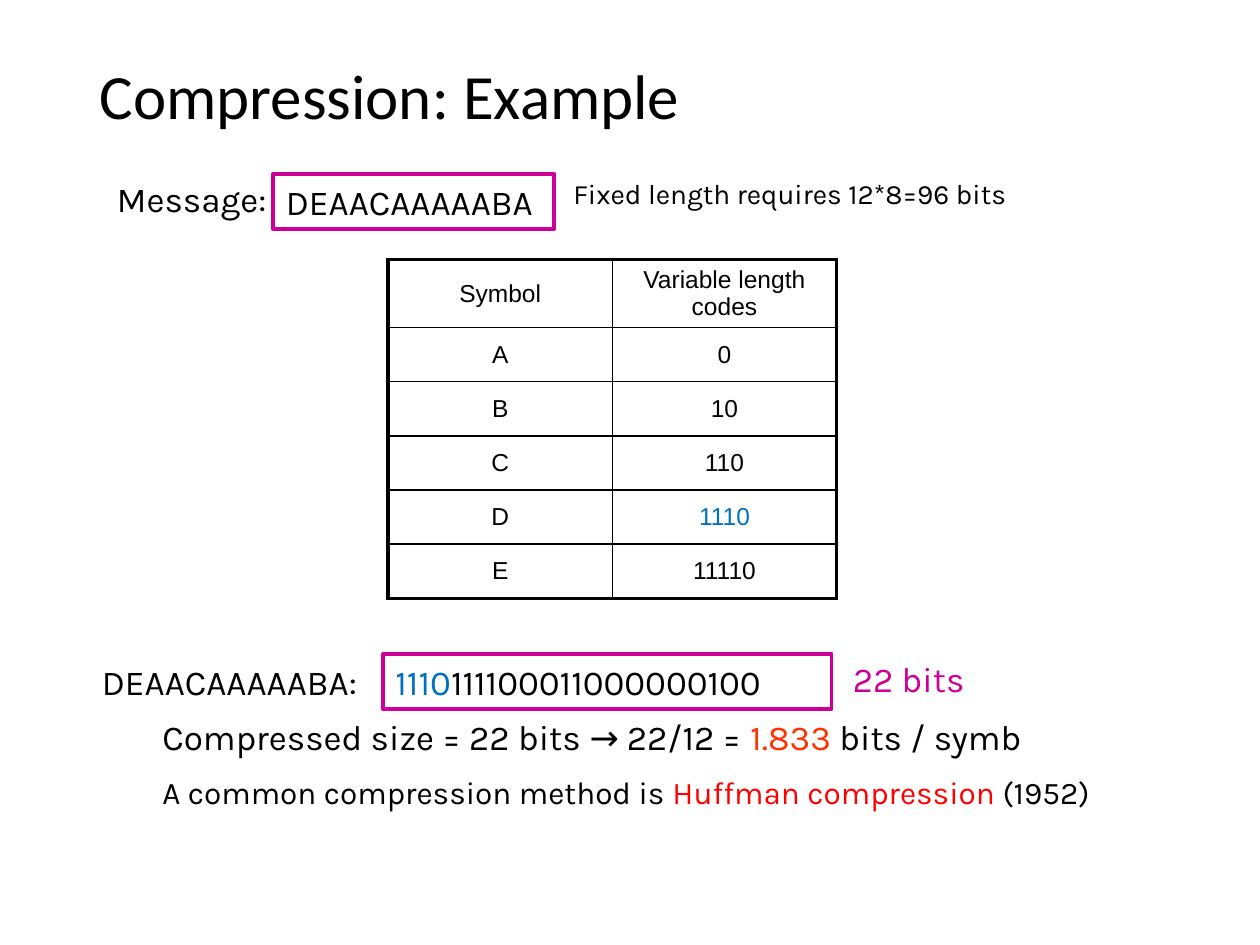
from pptx import Presentation
from pptx.dml.color import RGBColor
from pptx.enum.shapes import MSO_SHAPE as Shape
from pptx.enum.text import MSO_ANCHOR as Anchor, PP_ALIGN as Align
from pptx.oxml.ns import qn
from pptx.util import Inches, Pt
from lxml.etree import SubElement as Sub

BLACK, BLUE, PINK = "000000", "0070C0", "CC0099"


def style(run, size, face, color=BLACK):
    run.font.size = Pt(size)
    run.font.name = face
    run.font.color.rgb = RGBColor.from_string(color)


def write(para, parts, size):
    for text, color in parts:
        run = para.add_run()
        run.text = text
        style(run, size, "Karla", color)


prs = Presentation()
prs.slide_width, prs.slide_height = Inches(10), Inches(7.5)
slide = prs.slides.add_slide(prs.slide_layouts[5])

# Title
title = slide.shapes.title
title.left, title.top = Inches(0.69), Inches(0.4)
title.width, title.height = Inches(8.33), Inches(0.77)
title.text_frame.text = "Compression: Example"
title.text_frame.vertical_anchor = Anchor.MIDDLE
para = title.text_frame.paragraphs[0]
para.alignment = Align.LEFT
para.line_spacing = 0.9
style(para.runs[0], 36, "Calibri")

# Code table
rows = [("Symbol", "Variable length codes"), ("A", "0"), ("B", "10"),
        ("C", "110"), ("D", "1110"), ("E", "11110")]
table = slide.shapes.add_table(len(rows), 2, Inches(3.08), Inches(2.06),
                               Inches(3.56), Inches(2.7)).table
for r, row in enumerate(rows):
    table.rows[r].height = Inches(0.43 if r else 0.54)
    for c, text in enumerate(row):
        cell = table.cell(r, c)
        cell.text_frame.text = text
        cell.vertical_anchor = Anchor.MIDDLE
        para = cell.text_frame.paragraphs[0]
        para.alignment = Align.CENTER
        style(para.runs[0], 14, "Arial", BLUE if text == "1110" else BLACK)
        para.runs[0].font.bold = False
        outer = {"L": c == 0, "R": c == 1, "T": r == 0, "B": r == len(rows) - 1}
        props = cell._tc.get_or_add_tcPr()
        for side, thick in outer.items():
            line = Sub(props, qn(f"a:ln{side}"), w=str(Pt(2.25 if thick else 1)))
            Sub(Sub(line, qn("a:solidFill")), qn("a:srgbClr"), val=BLACK)
        cell.fill.background()

# Framed message and its code
frames = [
    (2.17, 1.38, 2.23, [("DEAACAAAAABA", BLACK)]),
    (3.04, 5.19, 3.56, [("1110", BLUE), ("111100011000000100", BLACK)]),
]
for x, y, w, parts in frames:
    box = slide.shapes.add_shape(Shape.RECTANGLE, Inches(x), Inches(y),
                                 Inches(w), Inches(0.44))
    box.shadow.inherit = False
    box.fill.background()
    box.line.color.rgb = RGBColor.from_string(PINK)
    box.line.width = Pt(2.25)
    box.text_frame.vertical_anchor = Anchor.TOP
    para = box.text_frame.paragraphs[0]
    para.alignment = Align.LEFT
    write(para, parts, 20)

# Labels
labels = [
    (6.67, 5.17, 1.18, 0.5, "22 bits", 20, PINK),
    (0.83, 1.36, 1.5, 0.44, "Message:", 20, BLACK),
    (0.71, 5.19, 2.33, 0.44, "DEAACAAAAABA:", 20, BLACK),
    (4.4, 1.35, 3.86, 0.37, " Fixed length requires 12*8=96 bits", 16, BLACK),
]
for x, y, w, h, text, size, color in labels:
    box = slide.shapes.add_textbox(Inches(x), Inches(y), Inches(w), Inches(h))
    box.text_frame.word_wrap = True
    write(box.text_frame.paragraphs[0], [(text, color)], size)

# Closing remarks
box = slide.shapes.add_textbox(Inches(0.69), Inches(5.63), Inches(8.88), Inches(0.89))
frame = box.text_frame
frame.word_wrap = True
size_line = frame.paragraphs[0]
write(size_line, [("Compressed size = 22 bits → 22/12 = ", BLACK),
                  ("1.833", "FF3300"), (" bits / symb", BLACK)], 20)
method = frame.add_paragraph()
method.space_before = Pt(9)
write(method, [("A common compression method is ", BLACK),
               ("Huffman compression ", "FF0000"), ("(1952)", BLACK)], 18)
for para in frame.paragraphs:
    para.level = 1
    props = para._p.get_or_add_pPr()
    props.set("marL", str(Inches(0.5)))
    props.set("indent", "0")

prs.save("out.pptx")
